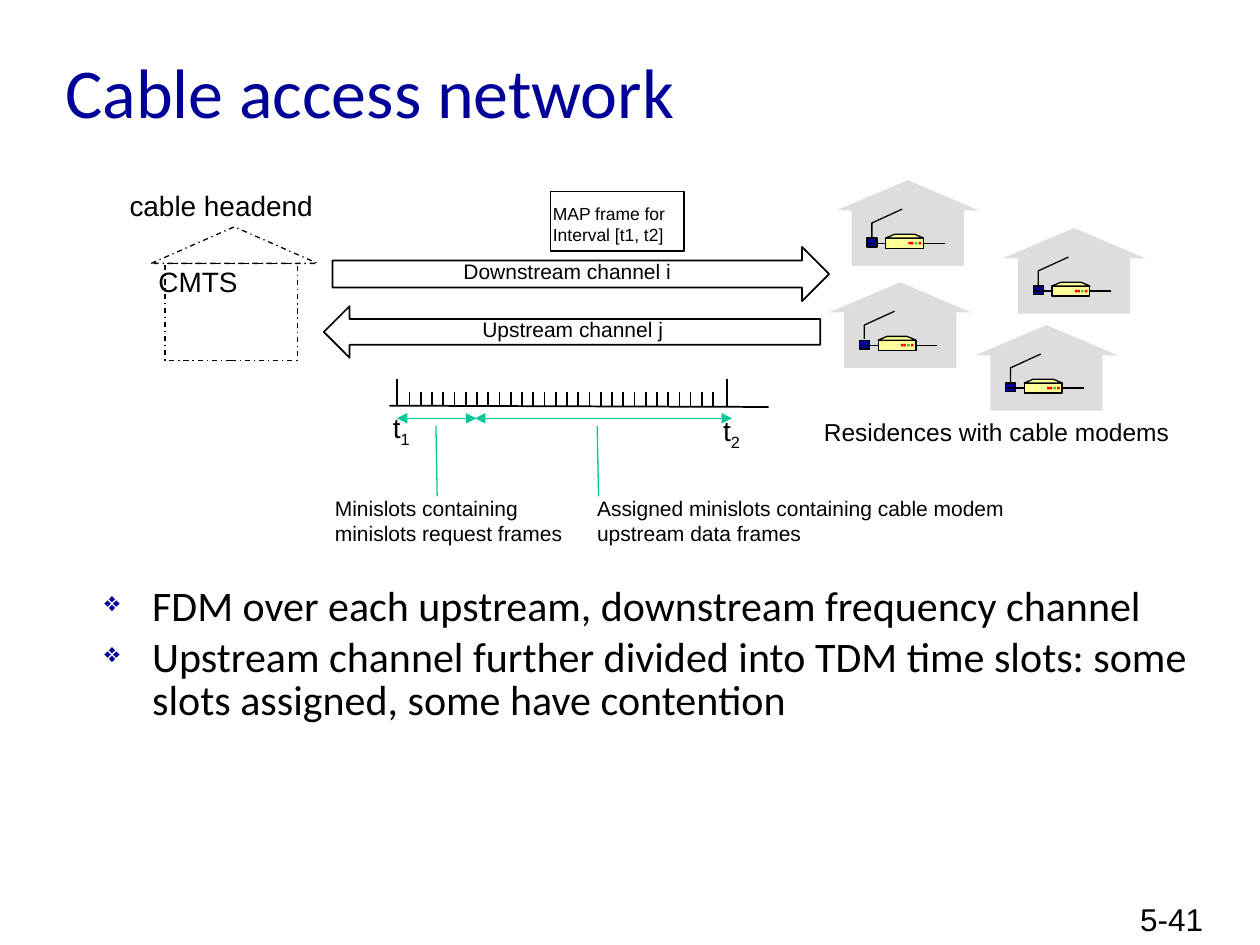
from dataclasses import dataclass

from lxml.etree import SubElement
from pptx import Presentation
from pptx.dml.color import RGBColor
from pptx.enum.dml import MSO_LINE
from pptx.enum.shapes import MSO_CONNECTOR, MSO_SHAPE as Preset
from pptx.enum.text import MSO_ANCHOR, PP_ALIGN
from pptx.oxml.ns import qn
from pptx.util import Inches, Pt


@dataclass(frozen=True)
class Theme:
    navy: str = "000099"
    black: str = "000000"
    teal: str = "00C896"
    house: str = "DDDDDD"
    modem: str = "FFFF99"
    red: str = "FF0000"
    green: str = "33CC33"
    body_font: str = "Calibri"
    label_font: str = "Arial"
    title_size: int = 40
    bullet_size: int = 24
    number_size: int = 18
    large: int = 16
    medium: int = 14
    small: int = 12
    tiny: int = 10
    thin: float = 0.75
    thick: float = 1


THEME = Theme()
HOUSES = [(6.64, 1.43), (7.96, 1.81), (7.74, 2.58), (6.58, 2.24)]
BULLETS = [
    "FDM over each upstream, downstream frequency channel",
    "Upstream channel further divided into TDM time slots: some slots assigned, some have contention",
]
TICK_COUNT = 28
FIRST_TICK, LAST_TICK = 3.25, 5.66


def style_span(span, size, color=THEME.black, font=THEME.label_font):
    span.font.size = Pt(size)
    span.font.name = font
    span.font.color.rgb = RGBColor.from_string(color)


def add_text(page, place, lines, size, color=THEME.black, font=THEME.label_font, wrap=False):
    box = page.shapes.add_textbox(*map(Inches, place))
    frame = box.text_frame
    frame.word_wrap = wrap
    frame.text = "\n".join(lines)
    for para in frame.paragraphs:
        for span in para.runs:
            style_span(span, size, color, font)
    return frame


def paint(shape, fill=None, line=None, width=THEME.thin, dash=None):
    shape.shadow.inherit = False
    if fill:
        shape.fill.solid()
        shape.fill.fore_color.rgb = RGBColor.from_string(fill)
    else:
        shape.fill.background()
    if line:
        shape.line.color.rgb = RGBColor.from_string(line)
        shape.line.width = Pt(width)
        if dash:
            shape.line.dash_style = dash
    else:
        shape.line.fill.background()
    return shape


def add_preset(page, preset, place, **look):
    return paint(page.shapes.add_shape(preset, *map(Inches, place)), **look)


def add_outline(page, points, closed, **look):
    corners = [(Inches(x), Inches(y)) for x, y in points]
    builder = page.shapes.build_freeform(*corners[0])
    builder.add_line_segments(corners[1:], close=closed)
    return paint(builder.convert_to_shape(), line=THEME.black, **look)


def add_line(page, start, end, color=THEME.black, width=THEME.thin, arrows=False):
    line = page.shapes.add_connector(MSO_CONNECTOR.STRAIGHT, *map(Inches, (*start, *end)))
    line.line.color.rgb = RGBColor.from_string(color)
    line.line.width = Pt(width)
    properties = line._element.spPr
    if arrows:
        for tag in ("a:headEnd", "a:tailEnd"):
            SubElement(properties.find(qn("a:ln")), qn(tag), type="triangle")
    SubElement(properties, qn("a:effectLst"))
    return line


def add_bullets(page):
    frame = add_text(page, (0.73, 4.61, 8.83, 1.8), BULLETS, THEME.bullet_size,
                     font=THEME.body_font, wrap=True)
    for index, para in enumerate(frame.paragraphs):
        properties = para._p.get_or_add_pPr()
        properties.set("marL", str(Inches(0.38)))
        properties.set("indent", str(Inches(-0.38)))
        SubElement(SubElement(properties, qn("a:buClr")), qn("a:srgbClr"), val=THEME.navy)
        SubElement(properties, qn("a:buSzPct"), val="65000")
        SubElement(properties, qn("a:buChar"), char="❖")
        para.line_spacing = 0.85
        if index:
            para.space_before = Pt(5)


def add_time_label(page, left, top, number):
    frame = add_text(page, (left, top, 0.39, 0.37), ["t"], THEME.large)
    subscript = frame.paragraphs[0].add_run()
    subscript.text = number
    style_span(subscript, THEME.large)
    subscript._r.get_or_add_rPr().set("baseline", "-25000")


def add_house(page, left, top):
    def at(x, y):
        return left + x, top + y

    add_preset(page, Preset.ISOSCELES_TRIANGLE, (*at(0, 0), 1.13, 0.24), fill=THEME.house)
    add_preset(page, Preset.RECTANGLE, (*at(0.12, 0.21), 0.89, 0.47), fill=THEME.house)
    power = add_line(page, at(0.86, 0.5), at(0.69, 0.5))
    modem = add_preset(page, Preset.RECTANGLE, (*at(0.39, 0.46), 0.3, 0.08),
                       fill=THEME.modem, line=THEME.black)
    power.end_connect(modem, 3)
    for x, color in zip((0.65, 0.62, 0.59, 0.57), (THEME.red, THEME.green, THEME.red, THEME.red)):
        add_preset(page, Preset.RECTANGLE, (*at(x, 0.49), 0.02, 0.02), fill=color)
    lid = [at(0.69, 0.46), at(0.62, 0.43), at(0.46, 0.43), at(0.39, 0.46)]
    add_outline(page, lid, True, fill=THEME.modem)
    add_preset(page, Preset.RECTANGLE, (*at(0.24, 0.46), 0.08, 0.07),
               fill=THEME.navy, line=THEME.black)
    add_outline(page, [at(0.28, 0.45), at(0.28, 0.34), at(0.52, 0.23)], False)
    coax = add_line(page, at(0.25, 0.5), at(0.39, 0.5))
    coax.end_connect(modem, 1)


def add_headend(page):
    look = dict(line=THEME.black, dash=MSO_LINE.DASH_DOT)
    add_preset(page, Preset.RECTANGLE, (1.31, 2.09, 1.05, 0.77), **look)
    add_preset(page, Preset.ISOSCELES_TRIANGLE, (1.2, 1.8, 1.32, 0.29), **look)
    label = add_text(page, (0.7, 1.5, 2.11, 0.31), ["cable headend"], THEME.large, wrap=True)
    label.paragraphs[0].alignment = PP_ALIGN.CENTER
    label.paragraphs[0].line_spacing = 0.8
    add_text(page, (1.16, 2.05, 1.04, 0.37), ["CMTS"], THEME.large, wrap=True)


def add_channels(page):
    look = dict(line=THEME.black, width=THEME.thick)
    add_preset(page, Preset.RECTANGLE, (4.37, 1.52, 1.06, 0.47), **look)
    frame = add_text(page, (4.29, 1.56, 1.13, 0.44),
                     ["MAP frame for", "Interval [t1, t2]"], THEME.tiny)
    for para in frame.paragraphs:
        para.line_spacing = Pt(12)
    add_preset(page, Preset.RIGHT_ARROW, (2.64, 1.96, 3.94, 0.43), **look)
    add_preset(page, Preset.LEFT_ARROW, (2.57, 2.43, 3.94, 0.41), **look)
    add_text(page, (3.58, 2, 1.91, 0.3), ["Downstream channel i"], THEME.small)
    add_text(page, (3.73, 2.46, 1.69, 0.3), ["Upstream channel j"], THEME.small)


def add_timeline(page):
    add_line(page, (3.09, 3.22), (6.1, 3.23), width=THEME.thick)
    for x in (3.15, 5.77):
        add_line(page, (x, 3.01), (x, 3.22), width=THEME.thick)
    pitch = (LAST_TICK - FIRST_TICK) / (TICK_COUNT - 1)
    for index in range(TICK_COUNT):
        x = FIRST_TICK + index * pitch
        add_line(page, (x, 3.11), (x, 3.22), width=THEME.thick)
    add_time_label(page, 3.02, 3.21, "1")
    add_time_label(page, 5.64, 3.23, "2")
    for start, end in ((3.15, 3.78), (3.77, 5.81)):
        add_line(page, (start, 3.32), (end, 3.32), THEME.teal, arrows=True)
    for x in (3.46, 4.74):
        add_line(page, (x, 3.38), (x + 0.01, 3.94), THEME.teal)
    add_text(page, (4.64, 3.88, 3.51, 0.5),
             ["Assigned minislots containing cable modem", "upstream data frames"], THEME.small)
    add_text(page, (2.56, 3.88, 2.07, 0.5),
             ["Minislots containing", "minislots request frames"], THEME.small)


def main():
    deck = Presentation()
    deck.slide_width, deck.slide_height = Inches(10), Inches(7.5)
    page = deck.slides.add_slide(deck.slide_layouts[6])
    title = add_text(page, (0.42, 0.26, 6.15, 0.91), ["Cable access network"],
                     THEME.title_size, THEME.navy, THEME.body_font, wrap=True)
    title.vertical_anchor = MSO_ANCHOR.MIDDLE
    add_channels(page)
    add_timeline(page)
    add_headend(page)
    for left, top in HOUSES:
        add_house(page, left, top)
    add_text(page, (6.44, 3.26, 3.01, 0.34), ["Residences with cable modems"], THEME.medium)
    add_bullets(page)
    add_text(page, (8.95, 7.09, 0.74, 0.5), ["5-41"], THEME.number_size, wrap=True)
    deck.save("out.pptx")


if __name__ == "__main__":
    main()
